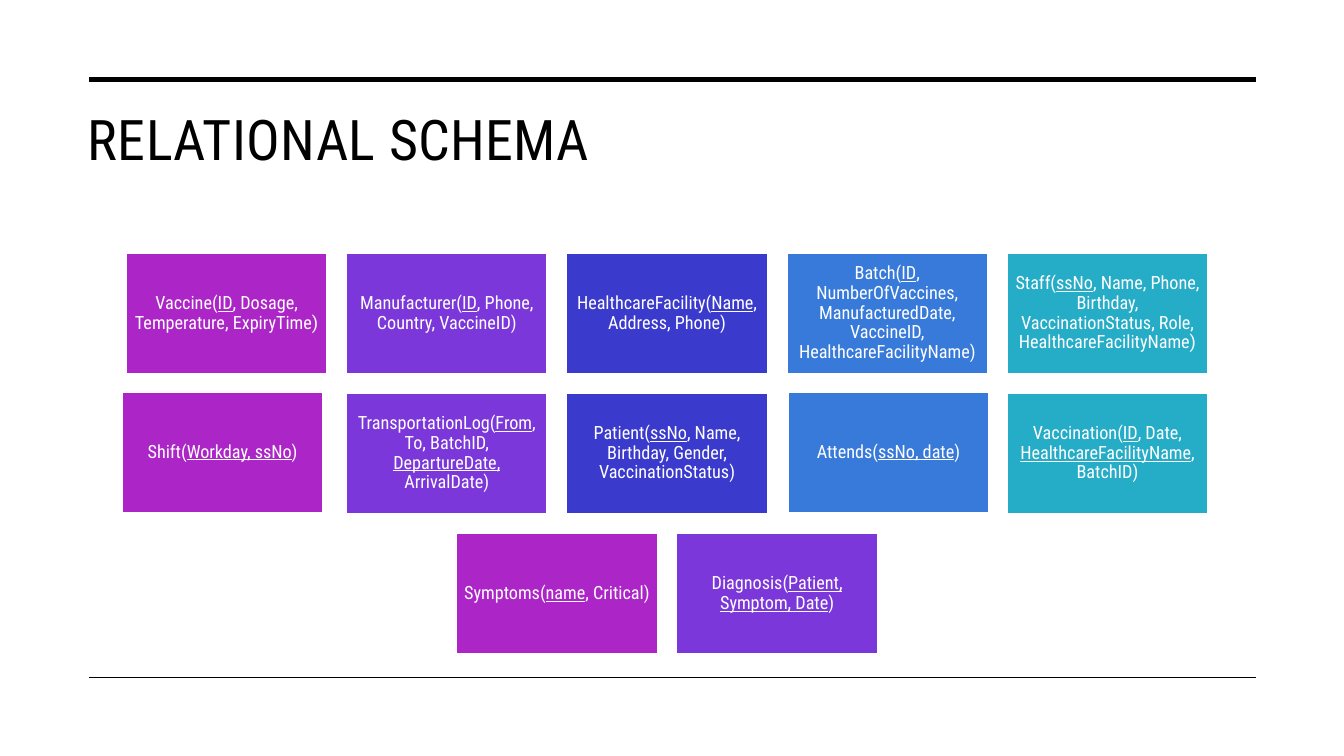
from dataclasses import dataclass

from lxml.etree import SubElement
from pptx import Presentation
from pptx.dml.color import RGBColor as RGB
from pptx.enum.shapes import MSO_CONNECTOR as Connector
from pptx.enum.shapes import MSO_SHAPE as Shape
from pptx.enum.text import MSO_ANCHOR as Anchor
from pptx.enum.text import MSO_AUTO_SIZE as AutoSize
from pptx.enum.text import PP_ALIGN as Align
from pptx.oxml.ns import qn
from pptx.slide import Slide
from pptx.text.text import _Run as Run
from pptx.util import Cm, Pt


@dataclass(frozen=True)
class Theme:
    font: str = "Roboto Condensed"
    bracket_font: str = "Roboto"
    title_size: float = 40
    tile_size: float = 13
    ink: str = "000000"
    paper: str = "FFFFFF"
    tiles: tuple[str, ...] = ("AC25C7", "7B37D9", "3A3ACC", "377AD9", "25ACC7")


@dataclass(frozen=True)
class Relation:
    schema: str  # key attributes stand between underscores
    dx: float = 0
    dy: float = 0
    plain_bracket: bool = False


@dataclass(frozen=True)
class Rule:
    y: float
    weight: float


THEME = Theme()

# Tile grid, in centimetres
COLUMNS = 5
LEFT, TOP = 3.18, 6.38
TILE_W, TILE_H = 5.06, 3.03
PITCH_X, PITCH_Y = 5.55, 3.53

RULES = [Rule(2.0, 3.5), Rule(17.07, 1)]

RELATIONS = [
    Relation("Vaccine(_ID_, Dosage, Temperature, ExpiryTime)", plain_bracket=True),
    Relation("Manufacturer(_ID_, Phone, Country, VaccineID)"),
    Relation("HealthcareFacility(_Name_, Address, Phone)"),
    Relation("Batch(_ID_, NumberOfVaccines, ManufacturedDate, VaccineID, "
             "HealthcareFacilityName)"),
    Relation("Staff(_ssNo_, Name, Phone, Birthday, VaccinationStatus, Role, "
             "HealthcareFacilityName)", plain_bracket=True),
    Relation("Shift(_Workday, ssNo_)", dx=-0.1, dy=-0.03),
    Relation("TransportationLog(_From_, To, BatchID, _DepartureDate, _ArrivalDate)"),
    Relation("Patient(_ssNo_, Name, Birthday, Gender, VaccinationStatus)"),
    Relation("Attends(_ssNo, date_)", dx=0.03, dy=-0.03),
    Relation("Vaccination(_ID_, Date, _HealthcareFacilityName_, BatchID)"),
    Relation("Symptoms(_name_, Critical)"),
    Relation("Diagnosis(_Patient, Symptom, Date_)"),
]


def style_run(r: Run, size: float, color: str, font: str = THEME.font) -> None:
    r.font.name = font
    r.font.size = Pt(size)
    r.font.color.rgb = RGB.from_string(color)


def add_title(s: Slide, text: str) -> None:
    sp = s.shapes.title
    sp.left, sp.top, sp.width, sp.height = Cm(1.96), Cm(2.51), Cm(29.69), Cm(3.2)
    tf = sp.text_frame
    tf.auto_size = AutoSize.NONE
    tf.vertical_anchor = Anchor.TOP
    p = tf.paragraphs[0]
    p.alignment = Align.LEFT
    r = p.add_run()
    r.text = text
    style_run(r, THEME.title_size, THEME.ink)
    r.font._element.set("spc", "30")


def add_rule(s: Slide, rule: Rule) -> None:
    y = Cm(rule.y)
    line = s.shapes.add_connector(Connector.STRAIGHT, Cm(2.24), y, Cm(31.65), y)
    line.line.color.rgb = RGB.from_string(THEME.ink)
    line.line.width = Pt(rule.weight)
    SubElement(line._element.spPr, qn("a:effectLst"))


def add_tile(s: Slide, relation: Relation, x: float, y: float, fill: str) -> None:
    sp = s.shapes.add_shape(Shape.RECTANGLE, Cm(x + relation.dx), Cm(y + relation.dy),
                            Cm(TILE_W), Cm(TILE_H))
    sp.shadow.inherit = False
    sp.fill.solid()
    sp.fill.fore_color.rgb = RGB.from_string(fill)
    sp.line.color.rgb = RGB.from_string(THEME.paper)
    sp.line.width = Pt(1)

    tf = sp.text_frame
    tf.word_wrap = True
    tf.vertical_anchor = Anchor.MIDDLE
    tf.margin_left = tf.margin_right = tf.margin_top = tf.margin_bottom = Cm(0.13)
    p = tf.paragraphs[0]
    p.alignment = Align.CENTER
    p.line_spacing = 0.9

    schema = relation.schema.removesuffix(")") if relation.plain_bracket else relation.schema
    for i, part in enumerate(schema.split("_")):
        r = p.add_run()
        r.text = part
        style_run(r, THEME.tile_size, THEME.paper)
        r.font.underline = i % 2 == 1
    if relation.plain_bracket:
        r = p.add_run()
        r.text = ")"
        style_run(r, THEME.tile_size, THEME.paper, THEME.bracket_font)


def main() -> None:
    prs = Presentation()
    prs.slide_width, prs.slide_height = Cm(33.87), Cm(19.05)
    s = prs.slides.add_slide(prs.slide_layouts[5])

    # Title between the rules
    add_title(s, "RELATIONAL SCHEMA")
    for rule in RULES:
        add_rule(s, rule)

    # Rows of relations, the short last row centred
    for start in range(0, len(RELATIONS), COLUMNS):
        row = RELATIONS[start:start + COLUMNS]
        x = LEFT + (COLUMNS - len(row)) / 2 * PITCH_X
        y = TOP + start // COLUMNS * PITCH_Y
        for i, relation in enumerate(row):
            add_tile(s, relation, x + i * PITCH_X, y, THEME.tiles[i])

    prs.save("out.pptx")


if __name__ == "__main__":
    main()
